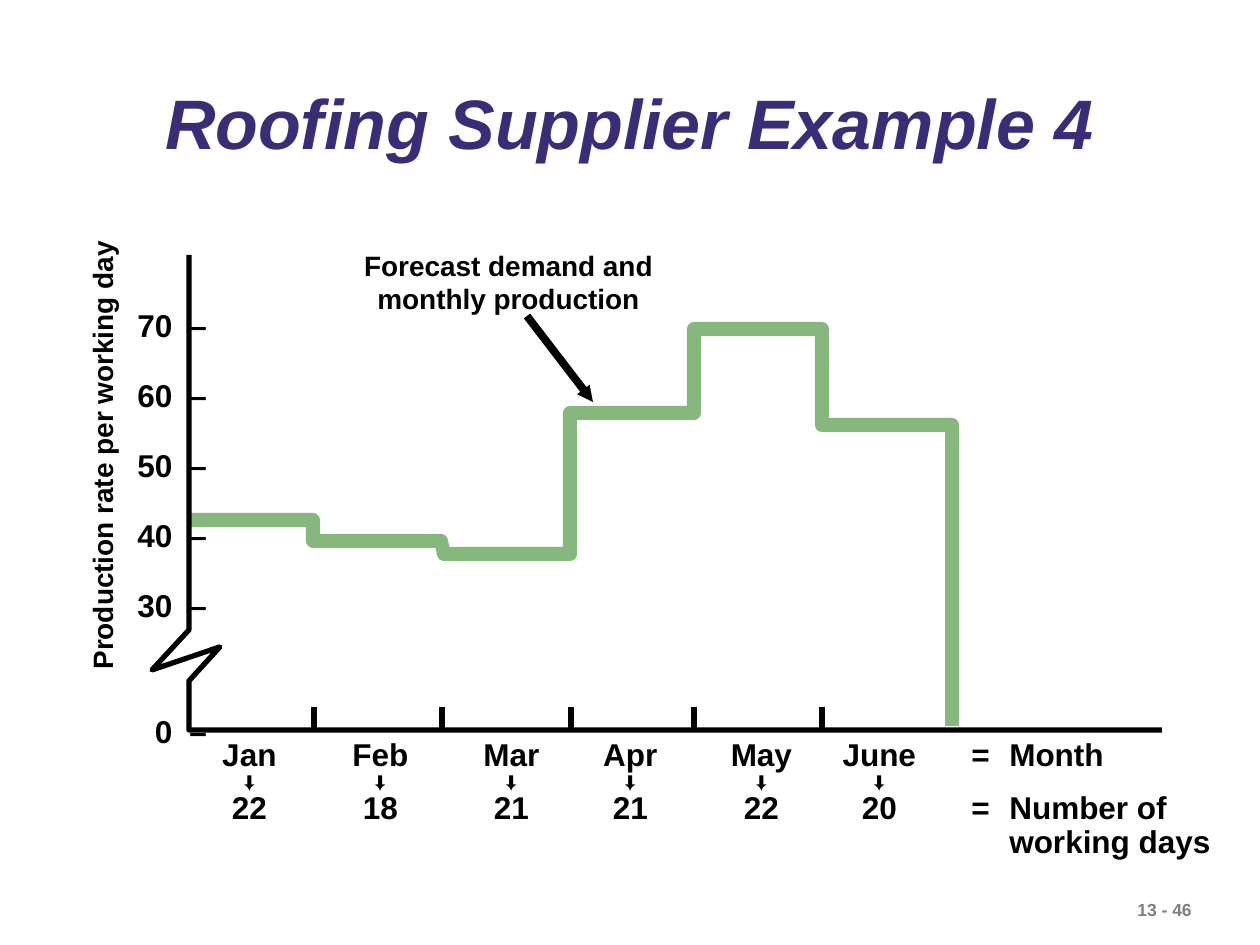
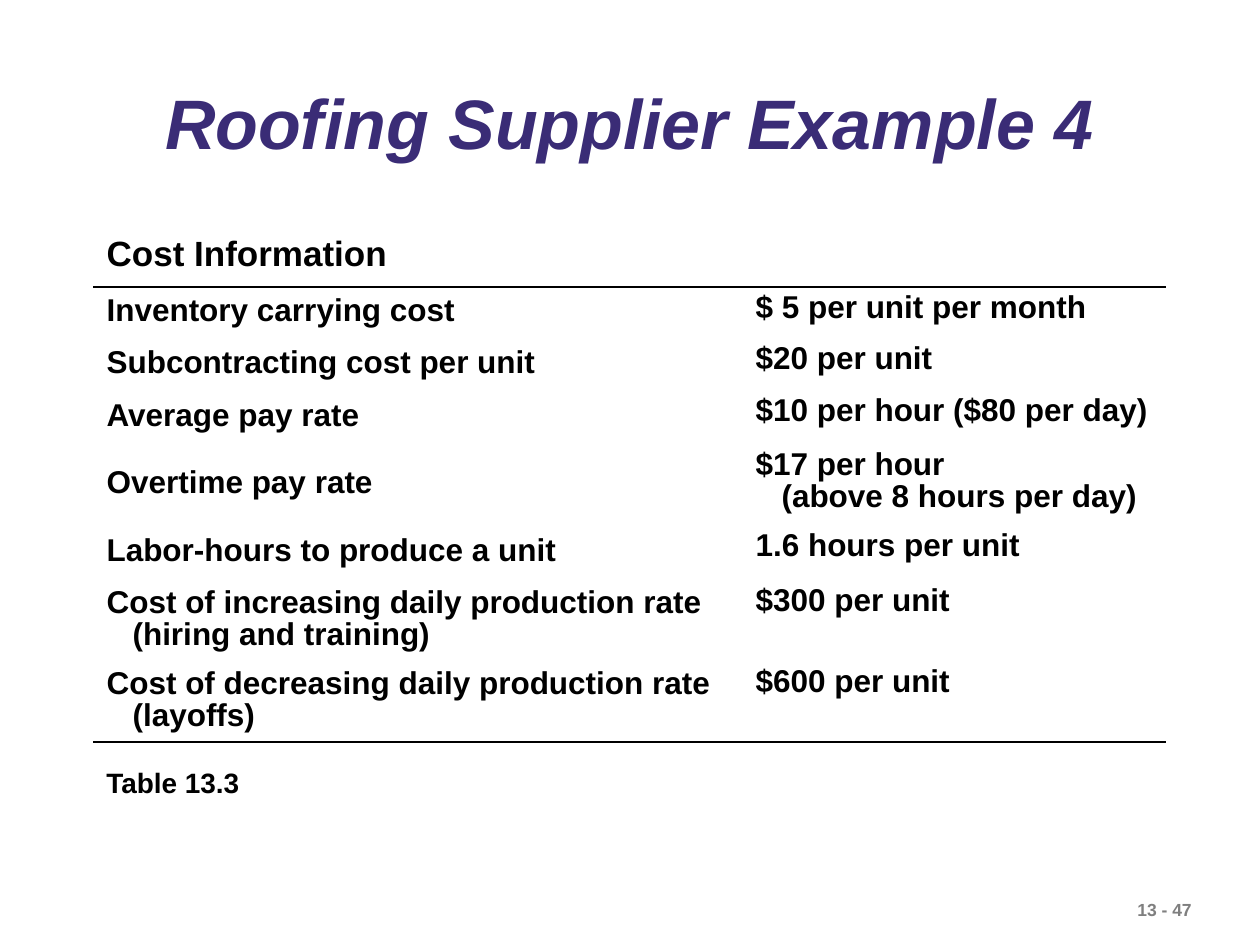
import lxml.etree
import pptx
import pptx.dml.color
import pptx.enum.shapes
import pptx.enum.text
import pptx.oxml.ns
import pptx.util

PX = 7257  # EMU in one px, 126 px to the inch
FONT = "Arial"
BLACK, GRAY, PURPLE, GREEN = "000000", "7F7F7F", "3A2C76", "86B87D"
TITLE = "Roofing Supplier Example 4"

Pt = pptx.util.Pt
rgb = pptx.dml.color.RGBColor.from_string
qn = pptx.oxml.ns.qn
ALIGN = pptx.enum.text.PP_ALIGN
MIDDLE = pptx.enum.text.MSO_ANCHOR.MIDDLE


def add_frame(page, left, top, width, height, rotation=0):
    """Add a wrapping text box, in px, and return its text frame."""
    box = page.shapes.add_textbox(left * PX, top * PX, width * PX, height * PX)
    box.rotation = rotation
    box.text_frame.word_wrap = True
    return box.text_frame


def write(frame, text, size=18, color=BLACK, italic=False, align=ALIGN.LEFT,
          spacing=None, before=None, after=None, margin=0, hanging=0, tabs=()):
    """Add a paragraph; margin, hanging and the (px, alignment) tabs are in px."""
    para = frame.add_paragraph() if frame.text else frame.paragraphs[0]
    para.text = text
    para.alignment = align
    para.line_spacing = spacing
    if before is not None:
        para.space_before = Pt(before)
    if after is not None:
        para.space_after = Pt(after)
    props = para._p.get_or_add_pPr()
    if margin:
        props.set("marL", str(margin * PX))
        props.set("indent", str(-hanging * PX))
    if tabs:
        stops = lxml.etree.SubElement(props, qn("a:tabLst"))
        for position, kind in tabs:
            lxml.etree.SubElement(stops, qn("a:tab"), pos=str(position * PX), algn=kind)
    for span in para.runs:
        span.font.name = FONT
        span.font.size = Pt(size)
        span.font.bold = True
        span.font.italic = italic
        span.font.color.rgb = rgb(color)


deck = pptx.Presentation()
deck.slide_width, deck.slide_height = 1260 * PX, 945 * PX

# Title and page number on both slides
pages = []
for number in (46, 47):
    page = deck.slides.add_slide(deck.slide_layouts[5])
    title = page.shapes.title
    title.left, title.top, title.width, title.height = 94 * PX, 64 * PX, 1071 * PX, 125 * PX
    title.text_frame.auto_size = pptx.enum.text.MSO_AUTO_SIZE.NONE
    title.text_frame.vertical_anchor = MIDDLE
    write(title.text_frame, TITLE, size=40, color=PURPLE, italic=True,
          align=ALIGN.CENTER, spacing=0.9)
    write(add_frame(page, 1125, 893, 135, 34), f"13 - {number}", size=10, color=GRAY)
    pages.append(page)
chart_page, cost_page = pages

# Production rate steps and the broken axes
production = [(190, 520), (313, 520), (313, 541), (441, 541), (444, 554), (570, 554),
              (570, 413), (694, 413), (694, 329), (822, 329), (822, 425), (952, 425),
              (952, 726)]
axes = [(189, 255), (189, 630), (152, 670), (220, 647), (189, 681), (189, 730), (1162, 730)]
for points, color, width in ((production, GREEN, 8), (axes, BLACK, 3)):
    builder = chart_page.shapes.build_freeform(*points[0], scale=PX)
    builder.add_line_segments(points[1:], close=False)
    outline = builder.convert_to_shape()
    outline.shadow.inherit = False
    outline.fill.background()
    outline.line.color.rgb = rgb(color)
    outline.line.width = Pt(width)

# Rate scale: number right-aligned, tick mark after it
scale = add_frame(chart_page, 125, 268, 110, 489)
scale.margin_right = 0
scale_tabs = [(35, "r"), (52, "l")]
for rate in range(70, 20, -10):
    write(scale, f"\t{rate}\t–", spacing=1.85, tabs=scale_tabs)
write(scale, "\t0\t–", spacing=1.67, before=36, tabs=scale_tabs)

# Months and working days under the horizontal axis
months = {"Jan": (22, 79), "Feb": (18, 210), "Mar": (21, 341),
          "Apr": (21, 460), "May": (22, 591), "June": (20, 709)}
meaning_left = 839
month_tabs = [(center, "ctr") for days, center in months.values()]
month_tabs += [(801, "l"), (meaning_left, "l")]
rows = [(list(months) + ["=", "Month"], 18),
        (["⬇"] * len(months), 10),
        ([str(days) for days, center in months.values()] + ["=", "Number of"], 18)]
calendar = add_frame(chart_page, 158, 733, 1085, 134)
for entries, size in rows:
    write(calendar, "".join("\t" + entry for entry in entries), size=size,
          spacing=0.9, tabs=month_tabs)
write(calendar, "working days", spacing=0.9, margin=meaning_left)

write(add_frame(chart_page, -135, 422, 474, 46, rotation=270),
      "Production rate per working day", size=16)
write(add_frame(chart_page, 347, 242, 323, 81),
      "Forecast demand and monthly production", size=16, align=ALIGN.CENTER)

# Month ticks, then the arrow from the label to the steps
lines = [(x, 707, x, 730, 3) for x in (314, 442, 571, 694, 822)]
lines.append((527, 316, 593, 402, 4.5))
for x1, y1, x2, y2, width in lines:
    connector = chart_page.shapes.add_connector(
        pptx.enum.shapes.MSO_CONNECTOR.STRAIGHT, x1 * PX, y1 * PX, x2 * PX, y2 * PX)
    connector.line.color.rgb = rgb(BLACK)
    connector.line.width = Pt(width)
    props = connector._element.spPr
    if x1 != x2:
        lxml.etree.SubElement(props.find(qn("a:ln")), qn("a:tailEnd"),
                              type="triangle", w="sm", len="sm")
    lxml.etree.SubElement(props, qn("a:effectLst"))

# Cost table
costs = [
    ("Cost Information", "", 63),
    ("Inventory carrying cost", "$ 5 per unit per month", 51),
    ("Subcontracting cost per unit", "$20 per unit", 52),
    ("Average pay rate", "$10 per hour ($80 per day)", 54),
    ("Overtime pay rate", "$17 per hour\v(above 8 hours per day)", 81),
    ("Labor-hours to produce a unit", "1.6 hours per unit", 55),
    ("Cost of increasing daily production rate (hiring and training)", "$300 per unit", 81),
    ("Cost of decreasing daily production rate (layoffs)", "$600 per unit", 81),
]
ruled_rows = (0, len(costs) - 1)
table = cost_page.shapes.add_table(len(costs), 2, 94 * PX, 224 * PX, 1071 * PX, 518 * PX).table
table.first_row = table.horz_banding = False
table.columns[0].width, table.columns[1].width = 649 * PX, 422 * PX
for row, (item, cost, height) in enumerate(costs):
    table.rows[row].height = height * PX
    for column, text in enumerate((item, cost)):
        cell = table.cell(row, column)
        cell.fill.background()
        if column == 0:
            cell.vertical_anchor = MIDDLE
        if text:
            indent = 26 if "(hiring" in text or "(layoffs" in text or "\v" in text else 0
            write(cell.text_frame, text, size=18 if row else 20, spacing=0.9,
                  after=9 if row else 10, margin=indent, hanging=indent)
        if row in ruled_rows:
            border = lxml.etree.Element(qn("a:lnB"), w=str(Pt(1.47)))
            fill = lxml.etree.SubElement(border, qn("a:solidFill"))
            lxml.etree.SubElement(fill, qn("a:srgbClr"), val=BLACK)
            cell._tc.get_or_add_tcPr().insert(0, border)

write(add_frame(cost_page, 94, 759, 170, 47), "Table 13.3", size=16)

deck.save("out.pptx")
